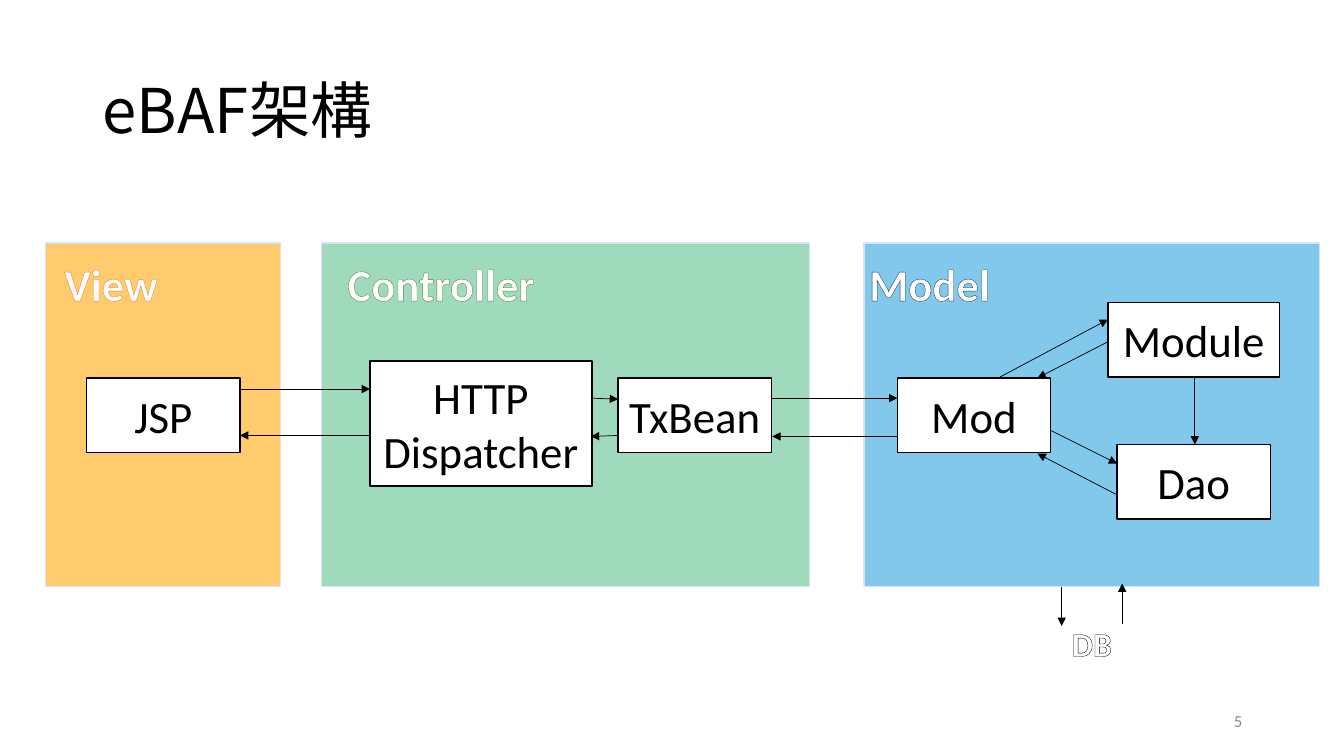
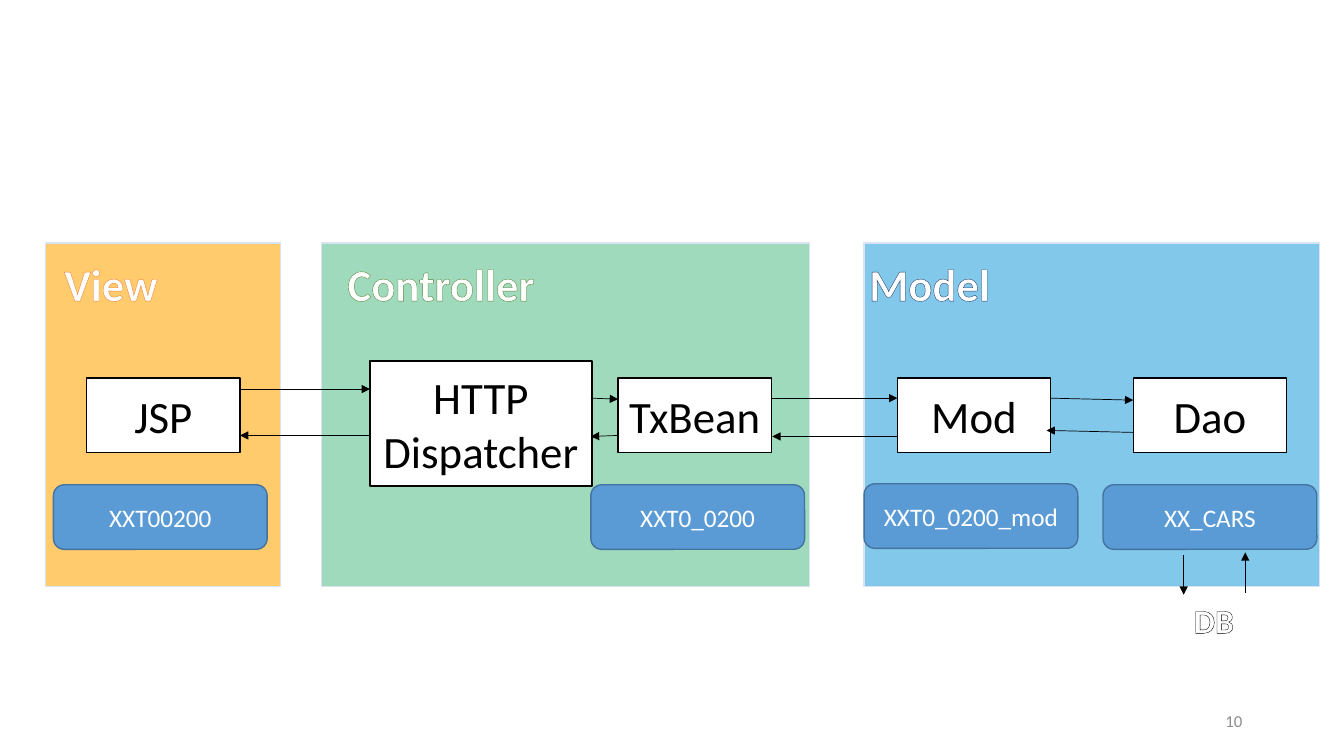
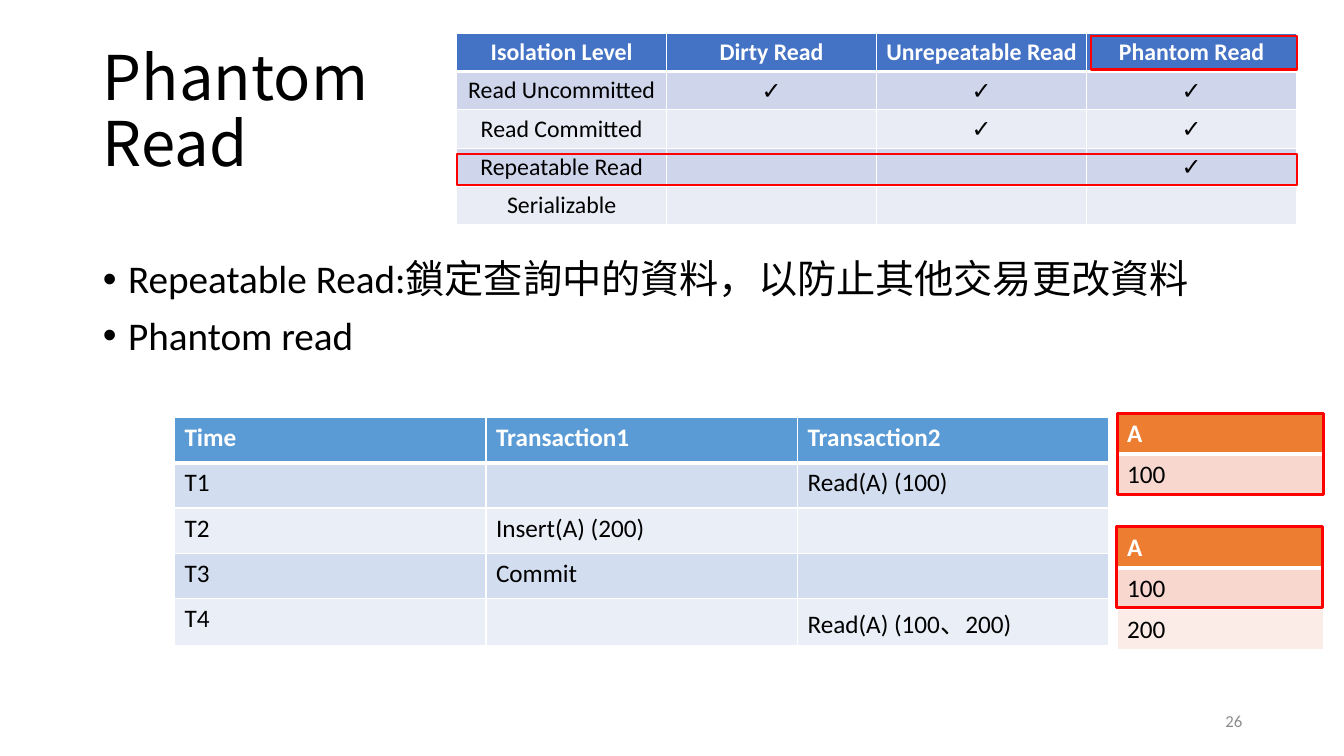
from typing import NamedTuple

from lxml import etree
from pptx import Presentation
from pptx.dml.color import RGBColor
from pptx.enum.shapes import MSO_CONNECTOR, MSO_SHAPE
from pptx.enum.text import MSO_ANCHOR, MSO_AUTO_SIZE, PP_ALIGN
from pptx.oxml.ns import qn
from pptx.util import Pt

PX = 9144  # 100 px to the inch
LEFT, MID, RIGHT = PP_ALIGN.LEFT, PP_ALIGN.CENTER, PP_ALIGN.RIGHT
TOP, CENTER = MSO_ANCHOR.TOP, MSO_ANCHOR.MIDDLE
RECT, ROUND = MSO_SHAPE.RECTANGLE, MSO_SHAPE.ROUNDED_RECTANGLE
STEP = MSO_SHAPE.FLOWCHART_PROCESS
FIXED = MSO_AUTO_SIZE.NONE
LINE = MSO_CONNECTOR.STRAIGHT

CJK, LATIN, MARK = "Noto Sans CJK SC", "Calibri", "Arial"
COLORS = {
    "black": "000000", "white": "FFFFFF", "gray": "8C8C8C", "red": "FF0000",
    "view": "FFCB6D", "control": "9EDABB", "model": "81C8EB",
    "edge": "DAE3F3", "rust": "ED7D31", "moss": "548235", "navy": "203864",
    "pill": "5B9BD5", "rim": "43739E",
    "royal": "4472C4", "royal1": "CFD5EA", "royal2": "E9EBF5",
    "sky1": "D2DEEF", "sky2": "EAEFF7", "rust1": "F8D7CE", "rust2": "FCECE8",
}


class Rect(NamedTuple):
    x: int
    y: int
    w: int
    h: int


class Font(NamedTuple):
    size: int
    color: str = "black"
    bold: bool = False
    name: str = LATIN


class Look(NamedTuple):
    kind: int
    fill: str | None
    line: str
    width: float
    font: Font


class Label(NamedTuple):
    text: str
    area: Rect
    ink: str
    width: float
    size: int = 32


class Arrow(NamedTuple):
    x1: int
    y1: int
    x2: int
    y2: int


class Grid(NamedTuple):
    area: Rect
    rows: list
    fills: tuple
    size: int = 18
    align: int = LEFT
    anchor: int = TOP
    inset: tuple = (10, 5)


def rgb(name):
    return RGBColor.from_string(COLORS[name])


def emu(area: Rect) -> list:
    return [n * PX for n in area]


def apply(item, values: dict) -> None:
    for key, value in values.items():
        setattr(item, key, value)


def paint(run, font: Font) -> None:
    apply(run.font, {"size": Pt(font.size), "bold": font.bold, "name": font.name})
    run.font.color.rgb = rgb(font.color)
    latin = run._r.rPr.find(qn("a:latin"))
    latin.addnext(etree.Element(qn("a:ea"), typeface=CJK))


def stroke(tag: str, color: str, width: float):
    """Return a line element of the given tag with a solid colour."""
    line = etree.Element(qn(tag), w=str(int(Pt(width))))
    fill = etree.SubElement(line, qn("a:solidFill"))
    etree.SubElement(fill, qn("a:srgbClr"), val=COLORS[color])
    return line


def write(frame, text: str, font: Font, align=MID, anchor=CENTER, inset=(0, 0), wrap=True) -> None:
    side, edge = (n * PX for n in inset)
    apply(frame, {"margin_left": side, "margin_right": side, "margin_top": edge,
                  "margin_bottom": edge, "vertical_anchor": anchor,
                  "word_wrap": wrap, "auto_size": FIXED})
    frame.text = text
    for para in frame.paragraphs:
        para.alignment = align
        for run in para.runs:
            paint(run, font)


def add_box(slide, look: Look, area: Rect, text: str = "") -> None:
    shape = slide.shapes.add_shape(look.kind, *emu(area))
    shape.shadow.inherit = False
    if look.fill:
        shape.fill.solid()
        shape.fill.fore_color.rgb = rgb(look.fill)
    else:
        shape.fill.background()
    shape.line.color.rgb = rgb(look.line)
    shape.line.width = Pt(look.width)
    if text:
        write(shape.text_frame, text, look.font)


def add_label(slide, label: Label) -> None:
    """Draw bold white text with outlined letters."""
    frame = slide.shapes.add_textbox(*emu(label.area)).text_frame
    write(frame, label.text, Font(label.size, "white", True), wrap=False)
    frame.paragraphs[0].runs[0]._r.rPr.insert(0, stroke("a:ln", label.ink, label.width))


def add_arrow(slide, arrow: Arrow) -> None:
    link = slide.shapes.add_connector(LINE, *(n * PX for n in arrow))
    link.line.color.rgb = rgb("black")
    link.line.width = Pt(0.5)
    etree.SubElement(link.line._get_or_add_ln(), qn("a:tailEnd"), type="triangle")
    etree.SubElement(link._element.spPr, qn("a:effectLst"))


def add_grid(slide, grid: Grid) -> None:
    """Draw a table with a header, banded rows and white rules."""
    rows = grid.rows
    table = slide.shapes.add_table(len(rows), len(rows[0]), *emu(grid.area)).table
    apply(table, {"first_row": False, "horz_banding": False})
    side, edge = (n * PX for n in grid.inset)
    for r, row in enumerate(rows):
        head = r == 0
        for c, text in enumerate(row):
            cell = table.cell(r, c)
            tc = cell._tc.get_or_add_tcPr()
            for tag in ("a:lnL", "a:lnR", "a:lnT", "a:lnB"):
                thick = (r, tag) in ((0, "a:lnB"), (1, "a:lnT"))
                tc.append(stroke(tag, "white", 3 if thick else 1))
            apply(cell, {"margin_left": side, "margin_right": side, "margin_top": edge,
                         "margin_bottom": edge, "vertical_anchor": grid.anchor})
            cell.fill.solid()
            cell.fill.fore_color.rgb = rgb(grid.fills[0 if head else 2 - r % 2])
            para = cell.text_frame.paragraphs[0]
            para.alignment = grid.align
            if text:
                run = para.add_run()
                run.text = text
                paint(run, Font(grid.size, "white" if head else "black", head,
                                MARK if text == "✓" else LATIN))
            else:
                para.font.size = Pt(grid.size)


def place(shape, area: Rect) -> None:
    apply(shape, dict(zip(("left", "top", "width", "height"), emu(area))))


def add_title(slide, text: str) -> None:
    title = slide.shapes.title
    place(title, Rect(92, 40, 1150, 145))
    write(title.text_frame, text, Font(44, name=CJK), LEFT, inset=(10, 5))
    title.text_frame.paragraphs[0].line_spacing = 0.9


def add_list(slide, items: list) -> None:
    body = slide.placeholders[1]
    place(body, Rect(92, 253, 1150, 423))
    write(body.text_frame, "\n".join(items), Font(28), LEFT, TOP, (10, 5))
    for i, para in enumerate(body.text_frame.paragraphs):
        apply(para, {"line_spacing": 0.9, "space_before": Pt(10 if i else 0)})
        props = para._p.get_or_add_pPr()
        props.set("marL", str(25 * PX))
        props.set("indent", str(-25 * PX))


def add_number(slide, number: int) -> None:
    frame = slide.shapes.add_textbox(*emu(Rect(942, 695, 300, 40))).text_frame
    write(frame, str(number), Font(12, "gray"), RIGHT, inset=(10, 5))


NODE = Look(STEP, "white", "black", 1, Font(32))
PILL = Look(ROUND, "pill", "rim", 1, Font(18, "white"))
PANELS = [("view", 45, 233), ("control", 319, 484), ("model", 857, 452)]
LABELS = [
    Label("View", Rect(29, 252, 162, 58), "rust", 0.52),
    Label("Controller", Rect(284, 252, 307, 58), "moss", 0.52),
    Label("Model", Rect(841, 252, 162, 58), "navy", 1),
]
NODES = [
    ("JSP", Rect(86, 375, 152, 74)),
    ("HTTP\nDispatcher", Rect(367, 358, 220, 124)),
    ("TxBean", Rect(613, 375, 152, 74)),
    ("Mod", Rect(890, 375, 152, 74)),
]
ARROWS = [
    Arrow(238, 386, 367, 386), Arrow(366, 432, 238, 432),
    Arrow(586, 395, 613, 396), Arrow(613, 432, 586, 433),
    Arrow(766, 395, 890, 395), Arrow(890, 433, 766, 433),
]


def add_flow(slide, nodes: list, arrows: list, base: Rect) -> None:
    """Draw the three tiers, their nodes and arrows, and the DB at base."""
    for fill, x, w in PANELS:
        add_box(slide, Look(RECT, fill, "edge", 1, Font(32)), Rect(x, 241, w, 341))
    for label in [*LABELS, Label("DB", base, "black", 0.8, 24)]:
        add_label(slide, label)
    for text, area in NODES + nodes:
        add_box(slide, NODE, area, text)
    for arrow in ARROWS + arrows:
        add_arrow(slide, arrow)


def add_design(slide) -> None:
    add_title(slide, "eBAF架構")
    nodes = [("Module", Rect(1099, 300, 170, 74)), ("Dao", Rect(1108, 441, 152, 74))]
    arrows = [
        Arrow(990, 375, 1099, 317), Arrow(1099, 339, 1029, 375),
        Arrow(1185, 375, 1185, 441),
        Arrow(1042, 427, 1108, 460), Arrow(1108, 491, 1029, 450),
        Arrow(1053, 582, 1053, 621), Arrow(1113, 619, 1113, 579),
    ]
    add_flow(slide, nodes, arrows, Rect(1053, 613, 60, 50))


def add_sample(slide) -> None:
    arrows = [
        Arrow(1042, 395, 1124, 397), Arrow(1124, 429, 1038, 427),
        Arrow(1174, 551, 1174, 590), Arrow(1235, 588, 1235, 548),
    ]
    add_flow(slide, [("Dao", Rect(1124, 375, 152, 74))], arrows, Rect(1174, 590, 60, 50))
    for text, x, y in [("XXT00200", 53, 481), ("XXT0_0200", 586, 481),
                       ("XXT0_0200_mod", 857, 480), ("XX_CARS", 1094, 481)]:
        add_box(slide, PILL, Rect(x, y, 212, 64), text)


def add_phantom(slide) -> None:
    add_title(slide, "Phantom\vRead")
    add_list(slide, ["Repeatable Read:鎖定查詢中的資料，以防止其他交易更改資料", "Phantom read"])
    levels = [
        ["Isolation Level", "Dirty Read", "Unrepeatable Read", "Phantom Read"],
        ["Read Uncommitted", "✓", "✓", "✓"],
        ["Read Committed", "", "✓", "✓"],
        ["Repeatable Read", "", "", "✓"],
        ["Serializable", "", "", ""],
    ]
    steps = [
        ["Time", "Transaction1", "Transaction2"],
        ["T1", "", "Read(A) (100)"],
        ["T2", "Insert(A) (200)", ""],
        ["T3", "Commit", ""],
        ["T4", "", "Read(A) (100、200)"],
    ]
    rust = ("rust", "rust1", "rust2")
    for grid in (
        Grid(Rect(453, 33, 833, 190), levels, ("royal", "royal1", "royal2"),
             17, MID, CENTER, (1, 1)),
        Grid(Rect(173, 414, 927, 225), steps, ("pill", "sky1", "sky2")),
        Grid(Rect(1108, 523, 205, 122), [["A"], ["100"], ["200"]], rust),
        Grid(Rect(1108, 410, 205, 81), [["A"], ["100"]], rust),
    ):
        add_grid(slide, grid)
    for area, width in [(Rect(1082, 36, 204, 33), 1.5), (Rect(453, 153, 833, 31), 1.5),
                        (Rect(1108, 410, 205, 81), 2.25), (Rect(1107, 522, 205, 81), 2.25)]:
        add_box(slide, Look(STEP, None, "red", width, Font(18)), area)


def main() -> None:
    deck = Presentation()
    apply(deck, {"slide_width": 1333 * PX, "slide_height": 750 * PX})
    for layout, draw, number in [(5, add_design, 5), (6, add_sample, 10), (1, add_phantom, 26)]:
        slide = deck.slides.add_slide(deck.slide_layouts[layout])
        draw(slide)
        add_number(slide, number)
    deck.save("out.pptx")


if __name__ == "__main__":
    main()
